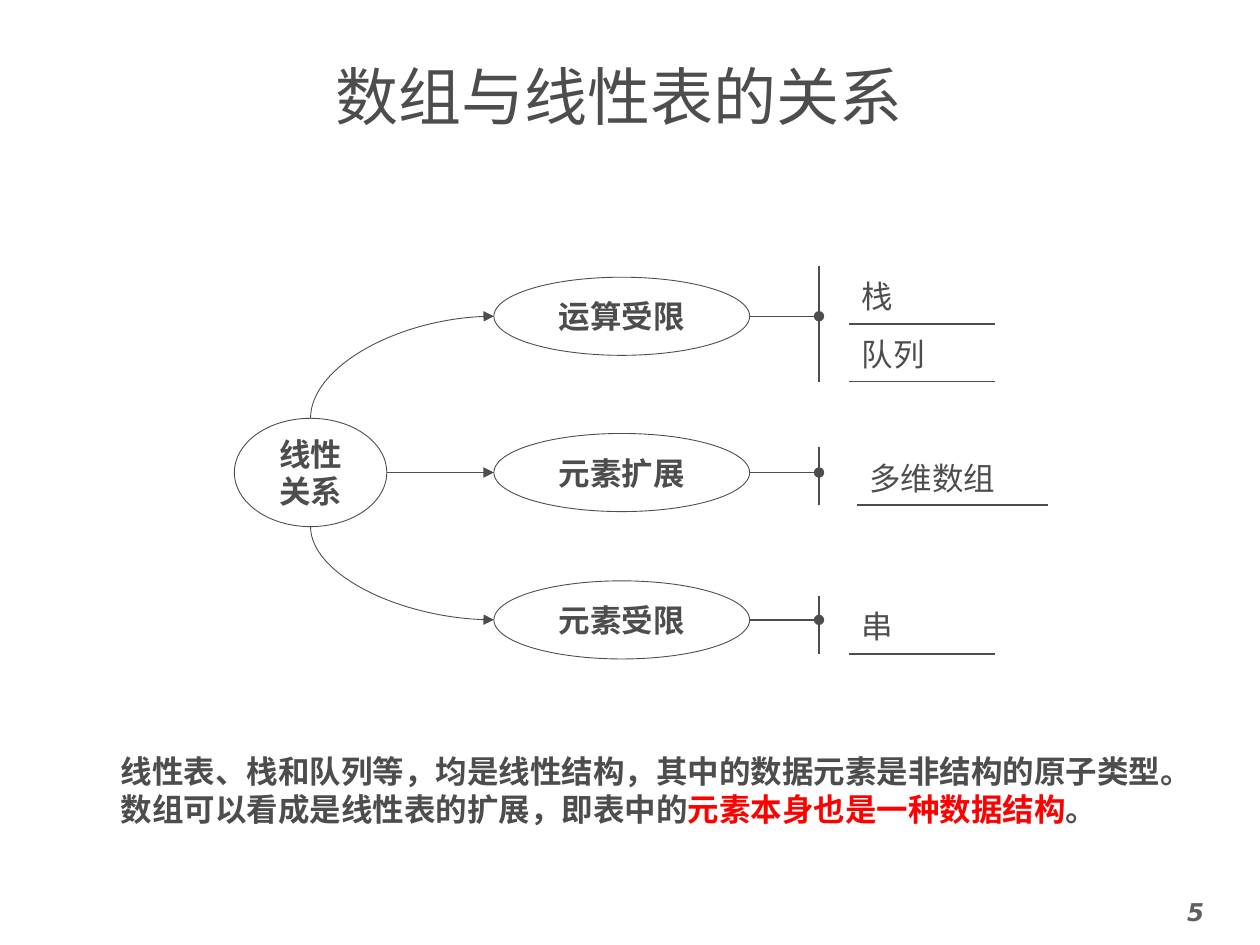
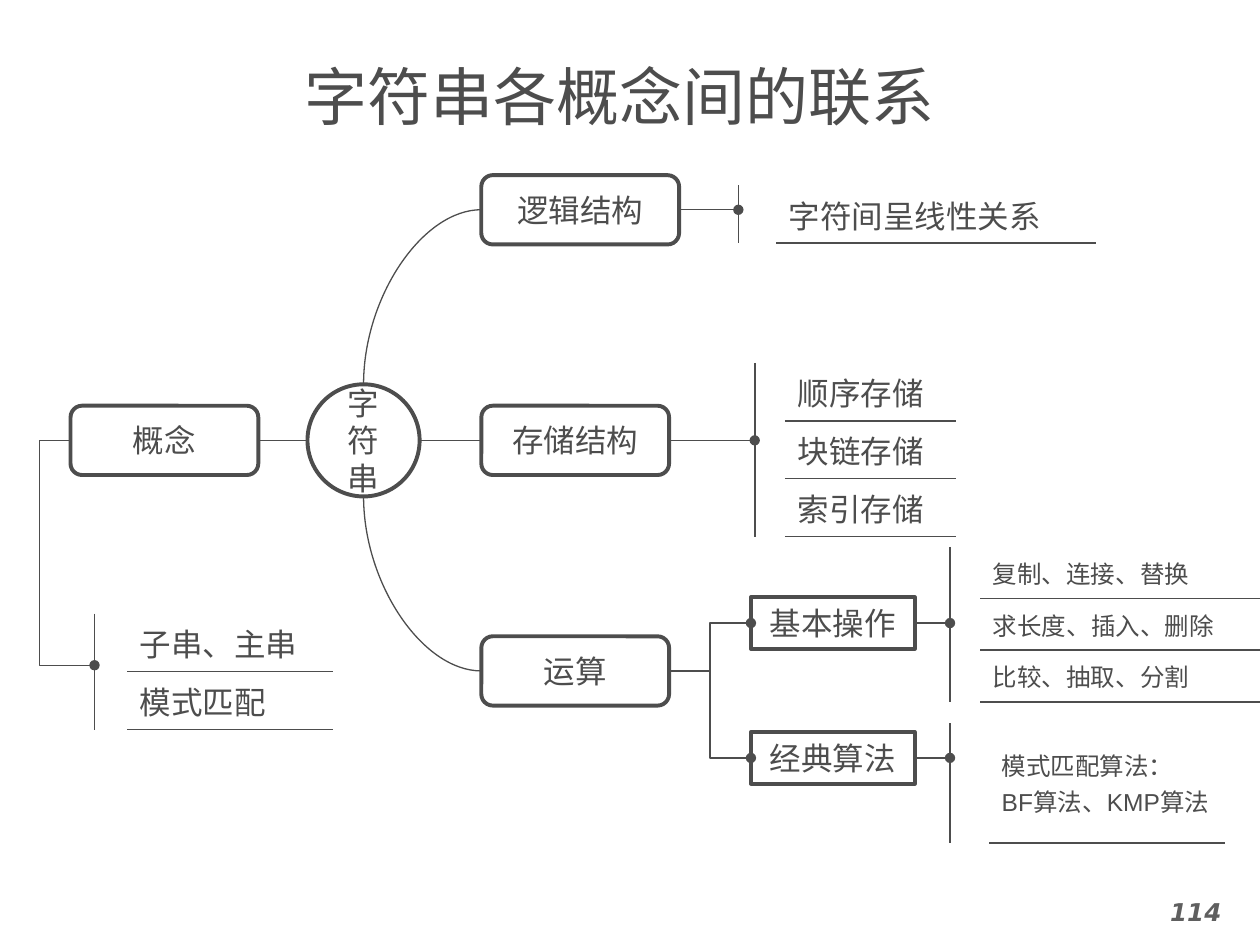
"""Builds two concept-map slides: arrays versus linear lists, and strings."""
from lxml.etree import SubElement
from pptx import Presentation
from pptx.dml.color import RGBColor
from pptx.enum.shapes import MSO_CONNECTOR, MSO_SHAPE
from pptx.enum.text import MSO_ANCHOR, PP_ALIGN
from pptx.oxml.ns import qn
from pptx.util import Inches, Pt

COLORS = {"ink": "4D4D4D", "page": "5F5F5F", "accent": "FF0000", "paper": "FFFFFF"}
CJK = "Noto Sans CJK SC"
MONO = "DejaVu Sans Mono"
NO_TABLE_STYLE = "{2D5ABB26-0587-4C30-8999-92F81FD0307C}"
TOP, LEFT, BOTTOM, RIGHT = range(4)
OVAL, ROUND, RECT = MSO_SHAPE.OVAL, MSO_SHAPE.ROUNDED_RECTANGLE, MSO_SHAPE.RECTANGLE
LARGE_ROW, SMALL_ROW, THREE_LINE_ROW = 0.46, 0.41, 0.95

ARRAY_MAP = {
    "title": "数组与线性表的关系", "page": "5",
    "bold": True, "outline": 0.5, "link": 0.5, "arrow": "triangle",
    "nodes": [
        ("线性关系", OVAL, 1.86, 3.32, 1.21, 0.86),
        ("运算受限", OVAL, 3.92, 2.2, 2.03, 0.62),
        ("元素扩展", OVAL, 3.92, 3.44, 2.03, 0.62),
        ("元素受限", OVAL, 3.92, 4.61, 2.03, 0.62),
    ],
    "lists": [
        ("运算受限", 6.5, 2.11, (0.23, 1.16), LARGE_ROW, 18, ["栈", "队列"]),
        ("元素扩展", 6.5, 3.55, (0.3, 1.52), LARGE_ROW, 18, ["多维数组"]),
        ("元素受限", 6.5, 4.73, (0.23, 1.16), LARGE_ROW, 18, ["串"]),
    ],
    "curves": [("线性关系", "运算受限"), ("线性关系", "元素受限")],
    "straights": [("线性关系", "元素扩展")],
    "merged": "运算受限",
}
STRING_MAP = {
    "title": "字符串各概念间的联系", "page": "114",
    "bold": False, "outline": 2.25, "link": 0.75, "arrow": None,
    "nodes": [
        ("字符串", OVAL, 2.44, 3.05, 0.89, 0.89),
        ("概念", ROUND, 0.56, 3.22, 1.49, 0.55),
        ("逻辑结构", ROUND, 3.82, 1.39, 1.57, 0.55),
        ("存储结构", ROUND, 3.82, 3.22, 1.49, 0.55),
        ("运算", ROUND, 3.82, 5.05, 1.49, 0.55),
        ("基本操作", RECT, 5.96, 4.74, 1.3, 0.41),
        ("经典算法", RECT, 5.96, 5.81, 1.3, 0.41),
    ],
    "lists": [
        ("逻辑结构", 5.86, 1.47, (0.3, 2.54), LARGE_ROW, 18, ["字符间呈线性关系"]),
        ("存储结构", 5.99, 2.88, (0.23, 1.36), LARGE_ROW, 18,
         ["顺序存储", "块链存储", "索引存储"]),
        ("基本操作", 7.54, 4.34, (0.23, 2.28), SMALL_ROW, 14,
         ["复制、连接、替换", [("求长度、", {"font": MONO}), ("插入、删除", {})], "比较、抽取、分割"]),
        ("经典算法", 7.54, 5.74, (0.31, 1.87), THREE_LINE_ROW, 14,
         ["模式匹配算法：\nBF算法、KMP算法"]),
        (None, 0.75, 4.87, (0.26, 1.63), LARGE_ROW, 18, ["子串、主串", "模式匹配"]),
    ],
    "curves": [("字符串", "逻辑结构"), ("字符串", "运算")],
    "straights": [("字符串", "存储结构"), ("概念", "字符串")],
    "merged": None,
}
SUMMARY = [
    "线性表、栈和队列等，均是线性结构，其中的数据元素是非结构的原子类型。",
    [("数组可以看成是线性表的扩展，即表中的", {}),
     ("元素本身也是一种数据结构", {"color": "accent"}), ("。", {})],
]


def rgb(name):
    return RGBColor.from_string(COLORS[name])


def write(tf, paragraphs, size, font=CJK, color="ink", bold=False, italic=False,
          align=PP_ALIGN.LEFT):
    tf.word_wrap = True
    for i, content in enumerate(paragraphs):
        p = tf.add_paragraph() if i else tf.paragraphs[0]
        p.alignment = align
        f = p.font
        f.size, f.name, f.bold, f.italic = Pt(size), font, bold, italic
        f.color.rgb = rgb(color)
        SubElement(p._p.pPr.find(qn("a:defRPr")), qn("a:ea"), typeface=CJK)
        runs = [(content, {})] if isinstance(content, str) else content
        for text, style in runs:
            r = p.add_run()
            r.text = text
            if "color" in style:
                r.font.color.rgb = rgb(style["color"])
            if "font" in style:
                r.font.name = style["font"]


def add_text(s, box, paragraphs, size, anchor=MSO_ANCHOR.TOP, **style):
    tf = s.shapes.add_textbox(*map(Inches, box)).text_frame
    write(tf, paragraphs, size, **style)
    tf.vertical_anchor = anchor


def add_node(s, text, kind, box, outline, bold):
    sp = s.shapes.add_shape(kind, *map(Inches, box))
    sp.shadow.inherit = False
    sp.fill.solid()
    sp.fill.fore_color.rgb = rgb("paper")
    sp.line.color.rgb = rgb("ink")
    sp.line.width = Pt(outline)
    write(sp.text_frame, [text], 18, bold=bold, align=PP_ALIGN.CENTER)
    sp.text_frame.vertical_anchor = MSO_ANCHOR.MIDDLE
    return sp


def add_border(cell, side):
    ln = SubElement(cell._tc.get_or_add_tcPr(), qn("a:" + side), w=str(Pt(1)))
    fill = SubElement(ln, qn("a:solidFill"))
    SubElement(fill, qn("a:srgbClr"), val=COLORS["ink"])


def add_list(s, x, y, widths, row_h, size, rows, merged=False):
    box = map(Inches, (x, y, sum(widths), row_h * len(rows)))
    table = s.shapes.add_table(len(rows), 2, *box).table
    table.first_row = table.horz_banding = False
    table._tbl.tblPr.find(qn("a:tableStyleId")).text = NO_TABLE_STYLE
    for column, width in zip(table.columns, widths):
        column.width = Inches(width)
    for i, content in enumerate(rows):
        stem, item = table.cell(i, 0), table.cell(i, 1)
        add_border(stem, "lnL")
        if i:
            add_border(item, "lnT")
        add_border(item, "lnB")
        for cell in (stem, item):
            cell.fill.background()
        lines = content.split("\n") if isinstance(content, str) else [content]
        write(item.text_frame, lines, size, font="Arial")
        item.vertical_anchor = MSO_ANCHOR.MIDDLE
    if merged:
        table.cell(0, 0).merge(table.cell(len(rows) - 1, 0))


def side(sp, where):
    x, y = sp.left + sp.width // 2, sp.top + sp.height // 2
    return {TOP: (x, sp.top), LEFT: (sp.left, y),
            BOTTOM: (x, sp.top + sp.height), RIGHT: (sp.left + sp.width, y)}[where]


def is_oval(sp):
    return sp.auto_shape_type == OVAL


def add_link(s, kind, start, end, width, tail=None):
    c = s.shapes.add_connector(kind, *start, *end)
    c.line.color.rgb = rgb("ink")
    c.line.width = Pt(width)
    if tail:
        SubElement(c.line._get_or_add_ln(), qn("a:tailEnd"), type=tail)
    SubElement(c._element.spPr, qn("a:effectLst"))
    return c


def add_straight(s, a, b, width, tail):
    c = add_link(s, MSO_CONNECTOR.STRAIGHT, side(a, RIGHT), side(b, LEFT), width, tail)
    if not is_oval(a):
        c.begin_connect(a, RIGHT)
    if not is_oval(b):
        c.end_connect(b, LEFT)


def add_curve(s, root, node, width, tail):
    """Draws a quarter curve that leaves the root vertically."""
    up = node.top < root.top
    x1, y1 = side(root, TOP if up else BOTTOM)
    x2, y2 = side(node, LEFT)
    cx, cy = (x1 + x2) // 2, (y1 + y2) // 2
    half_w, half_h = abs(y2 - y1) // 2, abs(x2 - x1) // 2
    lift = half_h if up else -half_h
    c = add_link(s, MSO_CONNECTOR.CURVE, (cx + half_w, cy + lift),
                 (cx - half_w, cy - lift), width, tail)
    spPr = c._element.spPr
    spPr.find(qn("a:xfrm")).set("rot", str((90 if up else 270) * 60000))
    spPr.find(qn("a:prstGeom")).set("prst", "curvedConnector2")
    joints = c._element.find(".//" + qn("p:cNvCxnSpPr"))
    ends = (("a:stCxn", root, 0 if up else 4), ("a:endCxn", node, 2 if is_oval(node) else 1))
    for tag, sp, site in ends:
        SubElement(joints, qn(tag), id=str(sp.shape_id), idx=str(site))


def add_map(prs, data):
    s = prs.slides.add_slide(prs.slide_layouts[6])
    add_text(s, (0.58, 0.41, 8.67, 0.7), [data["title"]], 36, MSO_ANCHOR.MIDDLE,
             font=MONO, align=PP_ALIGN.CENTER)
    add_text(s, (8.98, 7.07, 1.02, 0.43), [data["page"]], 14, font="DejaVu Sans",
             color="page", bold=True, italic=True, align=PP_ALIGN.CENTER)
    nodes = {text: add_node(s, text, kind, box, data["outline"], data["bold"])
             for text, kind, *box in data["nodes"]}
    for owner, x, *layout in data["lists"]:
        add_list(s, x, *layout, merged=owner is not None and owner == data["merged"])
        if owner:
            start = side(nodes[owner], RIGHT)
            c = add_link(s, MSO_CONNECTOR.STRAIGHT, start, (Inches(x), start[1]), 0.75, "oval")
            if not is_oval(nodes[owner]):
                c.begin_connect(nodes[owner], RIGHT)
    for a, b in data["curves"]:
        add_curve(s, nodes[a], nodes[b], data["link"], data["arrow"])
    for a, b in data["straights"]:
        add_straight(s, nodes[a], nodes[b], data["link"], data["arrow"])
    return s, nodes


def add_elbows(s, nodes):
    source = nodes["运算"]
    for name in ("基本操作", "经典算法"):
        c = add_link(s, MSO_CONNECTOR.ELBOW, side(source, RIGHT), side(nodes[name], LEFT),
                     0.75, "oval")
        c.begin_connect(source, RIGHT)
        c.end_connect(nodes[name], LEFT)
    concept = nodes["概念"]
    c = add_link(s, MSO_CONNECTOR.ELBOW, side(concept, LEFT), (Inches(0.75), Inches(5.28)),
                 0.75, "oval")
    c.begin_connect(concept, LEFT)
    guides = c._element.spPr.find(qn("a:prstGeom")).find(qn("a:avLst"))
    SubElement(guides, qn("a:gd"), name="adj1", fmla="val -130100")


def main():
    prs = Presentation()
    prs.slide_width, prs.slide_height = Inches(10), Inches(7.5)
    s, _ = add_map(prs, ARRAY_MAP)
    add_text(s, (0.86, 5.92, 8.94, 1.01), SUMMARY, 18, bold=True)
    add_elbows(*add_map(prs, STRING_MAP))
    prs.save("out.pptx")


if __name__ == "__main__":
    main()
